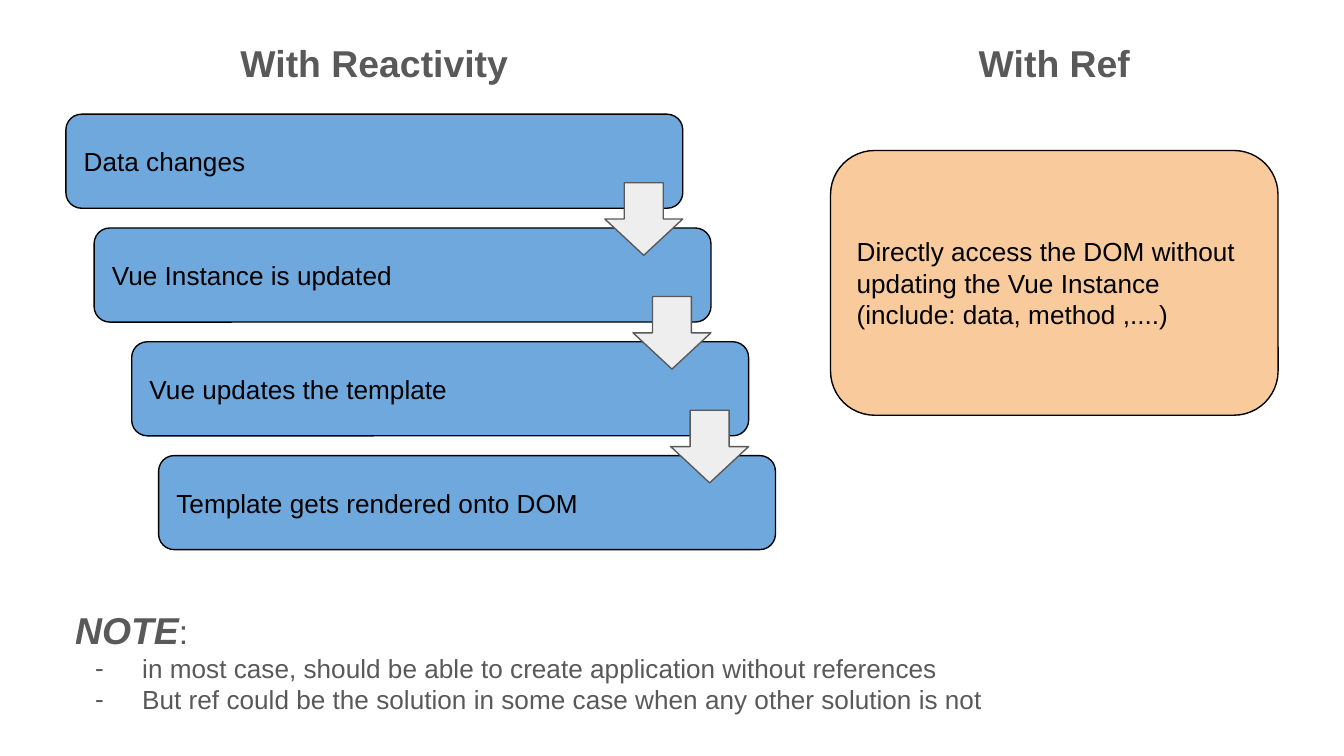
from pptx import Presentation
from pptx import util as u
from pptx.dml.color import RGBColor
from pptx.enum import shapes, text
from pptx.oxml import ns
from lxml import etree

HUES = {"step": "6FA8DC", "arrow": "EEEEEE", "ref": "F9CB9C",
        "ink": "000000", "gray": "595959"}
KIND = shapes.MSO_SHAPE
STEPS = [(0.49, "Data changes"), (0.7, "Vue Instance is updated"),
         (0.98, "Vue updates the template"),
         (1.18, "Template gets rendered onto DOM")]
NOTES = ["in most case, should be able to create application without references",
         "But ref could be the solution in some case when any other solution is not"]


def hue(name):
    return RGBColor.from_string(HUES[name])


def write(para, words, size, color, **style):
    run = para.add_run()
    run.text = words
    form = {"name": "Arial", "size": u.Pt(size), **style}
    for key, value in form.items():
        setattr(run.font, key, value)
    run.font.color.rgb = hue(color)


def frame(shape, anchor, fit):
    body = shape.text_frame
    form = {"word_wrap": True, "vertical_anchor": anchor, "auto_size": fit}
    form.update({"margin_" + side: u.Inches(0.1)
                 for side in ("left", "top", "right", "bottom")})
    for key, value in form.items():
        setattr(body, key, value)
    return body


def block(slide, kind, box, fill, line):
    shape = slide.shapes.add_shape(kind, *map(u.Inches, box))
    shape.shadow.inherit = False
    shape.fill.solid()
    shape.fill.fore_color.rgb = hue(fill)
    shape.line.color.rgb = hue(line)
    shape.line.width = u.Pt(0.75)
    return shape


def card(slide, box, fill, words):
    shape = block(slide, KIND.ROUNDED_RECTANGLE, box, fill, "ink")
    body = frame(shape, text.MSO_ANCHOR.MIDDLE, text.MSO_AUTO_SIZE.NONE)
    para = body.paragraphs[0]
    para.alignment = text.PP_ALIGN.LEFT
    write(para, words, 14, "ink")


def label(slide, box):
    shape = slide.shapes.add_textbox(*map(u.Inches, box))
    return frame(shape, text.MSO_ANCHOR.TOP,
                 text.MSO_AUTO_SIZE.SHAPE_TO_FIT_TEXT)


def title(slide, box, words):
    para = label(slide, box).paragraphs[0]
    para.alignment = text.PP_ALIGN.CENTER
    write(para, words, 20, "gray", bold=True)


def flow(slide, top, width, height, end):
    wide, tall, drop = 0.58, 0.54, 0.51
    pitch = (end - top - height) / (len(STEPS) - 1)
    for row, (left, words) in enumerate(STEPS):
        card(slide, (left, top + row * pitch, width, height), "step", words)
    for row, (left, _) in enumerate(STEPS[:-1]):
        box = (left + width - wide, top + row * pitch + drop, wide, tall)
        block(slide, KIND.DOWN_ARROW, box, "arrow", "gray")


def bullet(para):
    props = para._p.get_or_add_pPr()
    props.set("marL", str(u.Inches(0.5)))
    props.set("indent", str(u.Inches(-0.35)))
    color = etree.SubElement(props, ns.qn("a:buClr"))
    etree.SubElement(color, ns.qn("a:srgbClr"), val=HUES["gray"])
    etree.SubElement(props, ns.qn("a:buFont"), typeface="Arial")
    etree.SubElement(props, ns.qn("a:buChar"), char="-")


def notes(slide, box):
    body = label(slide, box)
    head = body.paragraphs[0]
    write(head, "NOTE", 20, "gray", bold=True, italic=True)
    write(head, ": ", 18, "gray", bold=False, italic=False)
    for words in NOTES:
        para = body.add_paragraph()
        bullet(para)
        write(para, words, 14, "gray")


def build():
    deck = Presentation()
    deck.slide_width = u.Inches(10)
    deck.slide_height = u.Inches(10 * 9 / 16)
    slide = deck.slides.add_slide(deck.slide_layouts[6])
    flow(slide, 0.85, 4.59, 0.7, 4.09)
    title(slide, (0.49, 0.2, 4.59, 0.54), "With Reactivity")
    title(slide, (6.34, 0.2, 3.01, 0.54), "With Ref")
    card(slide, (6.18, 1.12, 3.33, 1.97), "ref",
         "Directly access the DOM without updating the Vue Instance "
         "(include: data, method ,....)")
    notes(slide, (0.46, 4.42, 8.88, 1.01))
    deck.save("out.pptx")


build()
